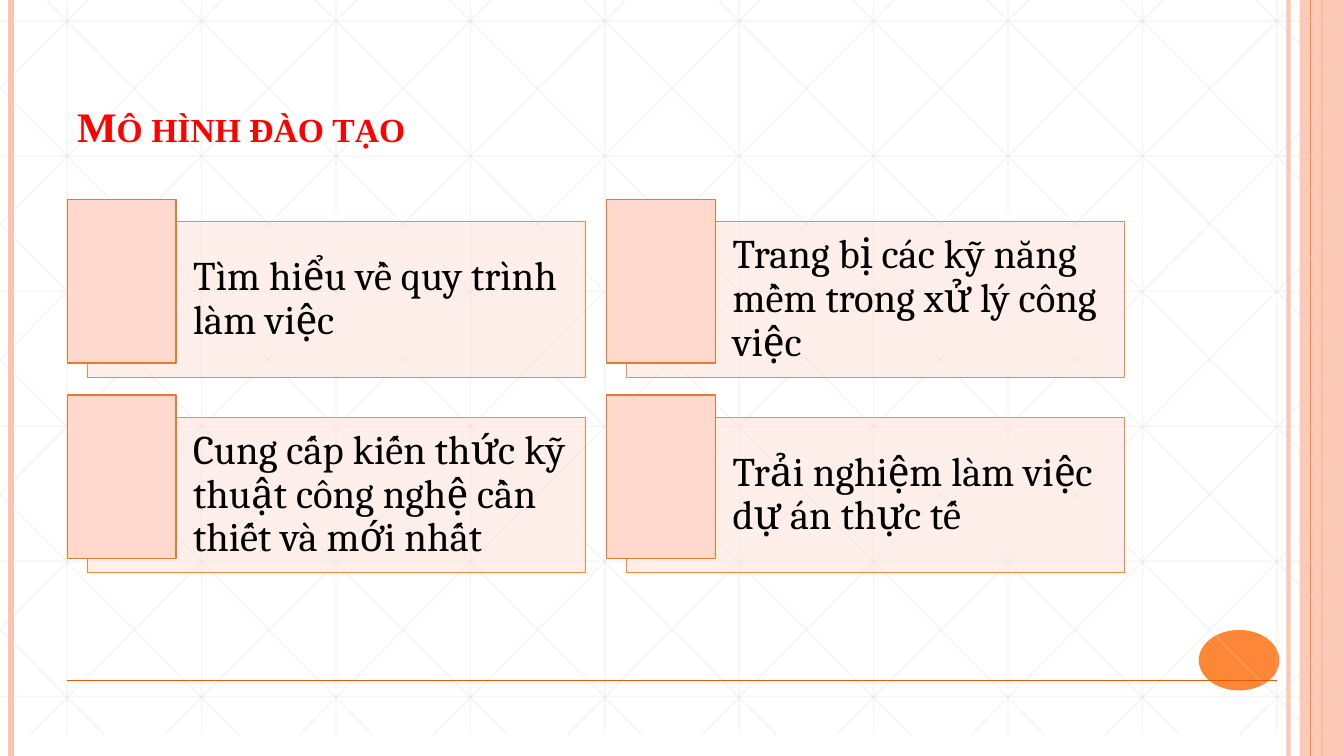
from lxml.etree import SubElement
from pptx import Presentation
from pptx.dml.color import RGBColor
from pptx.enum.shapes import MSO_CONNECTOR, MSO_SHAPE
from pptx.enum.text import MSO_ANCHOR, PP_ALIGN
from pptx.oxml.ns import qn
from pptx.util import Inches, Pt

TITLE = "Mô hình đào tạo"
GOALS = [
    ["Tìm hiểu về quy trình làm việc", "Trang bị các kỹ năng mềm trong xử lý công việc"],
    ["Cung cấp kiến thức kỹ thuật công nghệ cần thiết và mới nhất", "Trải nghiệm làm việc dự án thực tế"],
]
COLORS = {
    "salmon": "FEC3AE", "orange": "FE8637", "grid": "D9D9D9", "rule": "E75C01",
    "title": "FF0000", "peach": "FFD9CE", "tab_edge": "E77A32", "text": "000000",
}
WIDTH, HEIGHT = 13.33, 7.5
MARGIN = WIDTH / 20
CELL = WIDTH / 10
GRID_TOP, GRID_STEP, GRID_BOTTOM = 0.21, 1.34, 7.29
DIAGONAL_START, DIAGONAL_RUN = 0.46, 7.24
CARD_COLUMN, CARD_ROW, CARDS_TOP = 5.35, 1.94, 1.98
CARD_INSET = (0.2, 0.22)
CARD_SIZE, TAB_SIZE = (4.94, 1.54), (1.08, 1.62)

deck = Presentation()
deck.slide_width, deck.slide_height = Inches(WIDTH), Inches(HEIGHT)
slide = deck.slides.add_slide(deck.slide_layouts[6])


def color(name):
    return RGBColor.from_string(COLORS[name])


def set_opacity(item, percent):
    if percent < 100:
        tint = item._element.spPr.find(".//" + qn("a:srgbClr"))
        SubElement(tint, qn("a:alpha")).set("val", str(percent * 1000))


def add_line(x1, y1, x2, y2, name, weight, opacity=100):
    line = slide.shapes.add_connector(
        MSO_CONNECTOR.STRAIGHT, Inches(x1), Inches(y1), Inches(x2), Inches(y2))
    line.line.color.rgb = color(name)
    line.line.width = Pt(weight)
    set_opacity(line, opacity)
    SubElement(line._element.spPr, qn("a:effectLst"))


def add_block(kind, x, y, size, name, edge=None, weight=0, opacity=100):
    block = slide.shapes.add_shape(kind, Inches(x), Inches(y), *map(Inches, size))
    block.shadow.inherit = False
    block.fill.solid()
    block.fill.fore_color.rgb = color(name)
    set_opacity(block, opacity)
    if edge:
        block.line.color.rgb = color(edge)
        block.line.width = Pt(weight)
    else:
        block.line.fill.background()
    return block


def add_words(holder, words, font, size, name, anchor, insets):
    frame = holder.text_frame
    frame.word_wrap = True
    frame.vertical_anchor = anchor
    frame.margin_left, frame.margin_top, frame.margin_right, frame.margin_bottom = map(Inches, insets)
    paragraph = frame.paragraphs[0]
    paragraph.alignment = PP_ALIGN.LEFT
    run = paragraph.add_run()
    run.text = words
    run.font.name, run.font.size = font, Pt(size)
    run.font.color.rgb = color(name)
    return paragraph, run


def add_grid_line(x1, y1, x2, y2):
    add_line(x1, y1, x2, y2, "grid", 1, 25)


def add_frame():
    add_line(12.78, 0, 12.78, HEIGHT, "salmon", 3, 93)
    add_line(0.11, 0, 0.11, HEIGHT, "salmon", 4.5)
    add_line(13.11, 0, 13.11, HEIGHT, "orange", 1.5)
    add_block(MSO_SHAPE.RECTANGLE, 12.89, 0, (0.44, HEIGHT), "salmon", opacity=87)
    add_line(13, 0, 13, HEIGHT, "orange", 0.75)
    add_block(MSO_SHAPE.OVAL, 11.89, 6.25, (0.8, 0.6), "orange")


def add_grid():
    for column in range(10):
        x = MARGIN + column * CELL
        add_grid_line(x, 0, x, GRID_BOTTOM)
    for row in range(6):
        y = GRID_TOP + row * GRID_STEP
        add_grid_line(0, y, WIDTH, y)
    slope = GRID_BOTTOM / DIAGONAL_RUN
    for step in range(-5, 10):
        origin = DIAGONAL_START + step * CELL
        left, right = max(origin, 0), min(origin + DIAGONAL_RUN, WIDTH)
        top, bottom = (left - origin) * slope, (right - origin) * slope
        add_grid_line(left, top, right, bottom)
        add_grid_line(WIDTH - left, top, WIDTH - right, bottom)


def add_title():
    box = slide.shapes.add_textbox(Inches(MARGIN), Inches(0.3), Inches(10.89), Inches(1.25))
    _, run = add_words(box, TITLE, "Times New Roman", 30, "title",
                       MSO_ANCHOR.BOTTOM, (0.1, 0.05, 0.1, 0.05))
    run.font.bold = True
    run._r.get_or_add_rPr().set("cap", "small")


def add_cards():
    for row, goals in enumerate(GOALS):
        for column, goal in enumerate(goals):
            x, y = MARGIN + column * CARD_COLUMN, CARDS_TOP + row * CARD_ROW
            card = add_block(MSO_SHAPE.RECTANGLE, x + CARD_INSET[0], y + CARD_INSET[1],
                             CARD_SIZE, "peach", "orange", 0.5, 40)
            paragraph, _ = add_words(card, goal, "Cambria", 29, "text",
                                     MSO_ANCHOR.MIDDLE, (1.05, 0.12, 0.12, 0.12))
            paragraph.line_spacing = 0.9
            add_block(MSO_SHAPE.RECTANGLE, x, y, TAB_SIZE, "peach", "tab_edge", 1)


add_frame()
add_grid()
add_line(MARGIN, HEIGHT * 0.9, WIDTH - MARGIN, HEIGHT * 0.9, "rule", 1)
add_title()
add_cards()
deck.save("out.pptx")
